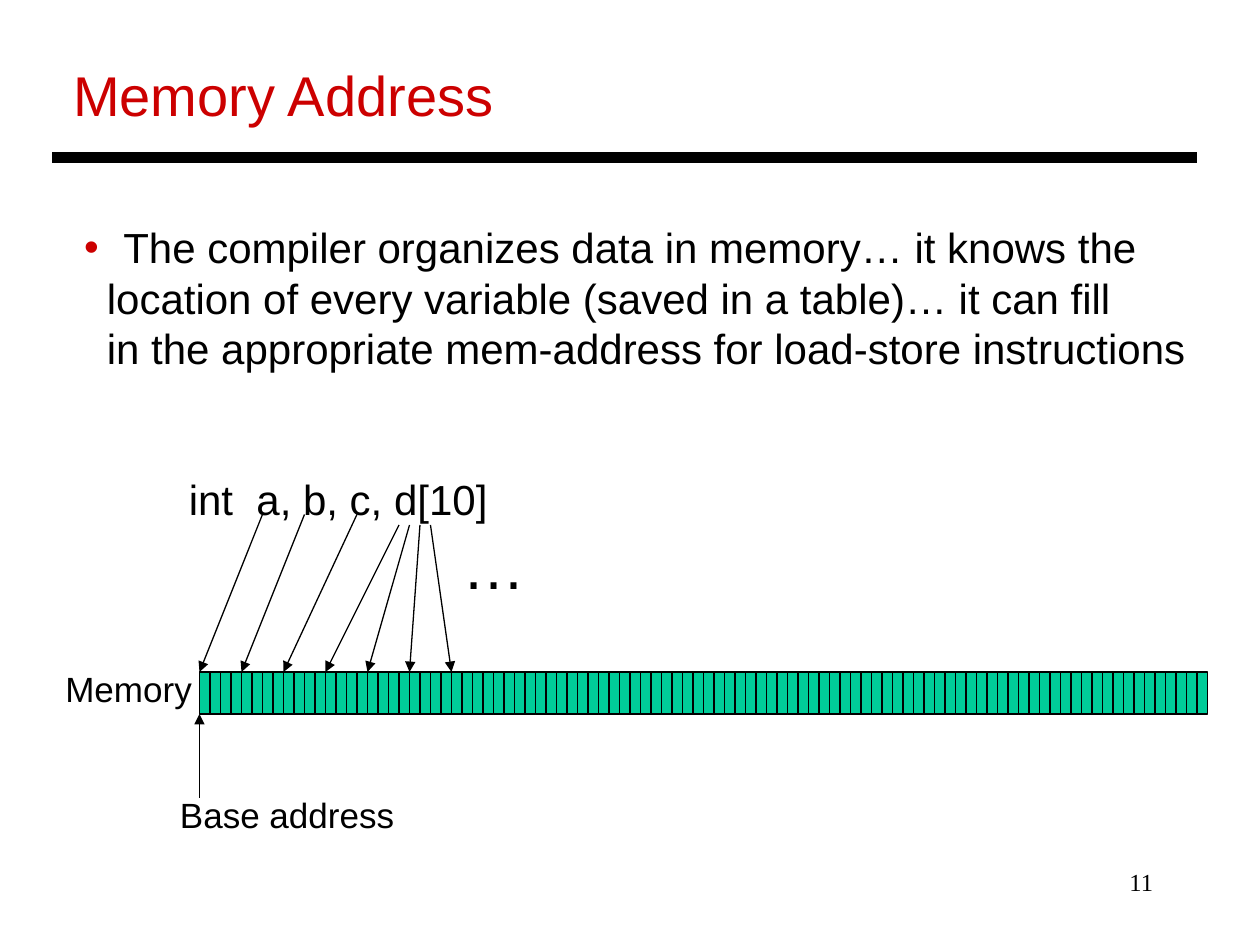
"""Build the Memory Address slide."""
from dataclasses import dataclass

from lxml.etree import SubElement
from pptx import Presentation
from pptx.dml.color import RGBColor
from pptx.enum.shapes import MSO_CONNECTOR, MSO_SHAPE
from pptx.enum.text import MSO_ANCHOR, MSO_AUTO_SIZE, PP_ALIGN
from pptx.oxml.ns import qn
from pptx.util import Inches, Length, Pt

BLACK, RED, GREEN = "000000", "CC0000", "00CC99"
UNITS_PER_INCH = 12
LINE_HEIGHT = 1.2
MEMORY_LEFT, MEMORY_TOP, MEMORY_BOTTOM = 19, 64, 68
BYTE_COUNT, BYTES_PER_INT = 96, 4


@dataclass(frozen=True)
class Line:
    text: str
    margin: float = 0
    bullet: bool = False
    space_before: float = 0


@dataclass(frozen=True)
class Label:
    left: float
    top: float
    width: float
    height: float
    size: int
    lines: tuple[Line, ...]
    color: str = BLACK
    font: str = "Arial"
    alignment: PP_ALIGN = PP_ALIGN.LEFT


@dataclass(frozen=True)
class VariableArrow:
    column: int
    row: int


TITLE = Label(0.48, 0.43, 3.56, 0.63, 32, (Line("Memory Address"),), RED)
LABELS = (
    Label(0.57, 1.71, 8.95, 2.5, 24, (
        Line("The compiler organizes data in memory… it knows the", 0.31, bullet=True),
        Line("location of every variable (saved in a table)… it can fill", 0.18),
        Line("in the appropriate mem-address for load-store instructions", 0.18),
        Line("int  a, b, c, d[10]", 0.83, space_before=2 * 24 * LINE_HEIGHT),
    )),
    Label(0.42, 5.25, 1.2, 0.43, 20, (Line("Memory"),)),
    Label(3.57, 4.13, 0.7, 0.7, 36, (Line("…"),)),
    Label(1.33, 6.25, 1.9, 0.43, 20, (Line("Base address"),)),
    Label(7.17, 6.83, 2.08, 0.5, 14, (Line("11"),),
          font="Times New Roman", alignment=PP_ALIGN.RIGHT),
)
VARIABLE_ARROWS = (
    VariableArrow(25, 49), VariableArrow(29, 49), VariableArrow(34, 49),
    *(VariableArrow(column, 50) for column in range(38, 42)),
)


def color_of(value: str) -> RGBColor:
    return RGBColor.from_string(value)


def grid(units: float) -> Length:
    return Inches(units / UNITS_PER_INCH)


def add_bullet(paragraph, margin: float) -> None:
    properties = paragraph._p.get_or_add_pPr()
    properties.set("indent", str(-Inches(margin)))
    bullet_color = SubElement(properties, qn("a:buClr"))
    SubElement(bullet_color, qn("a:srgbClr"), val=RED)
    SubElement(properties, qn("a:buFont"), typeface="Arial")
    SubElement(properties, qn("a:buChar"), char="•")


def write_label(shape, label: Label) -> None:
    shape.left, shape.top = Inches(label.left), Inches(label.top)
    shape.width, shape.height = Inches(label.width), Inches(label.height)
    frame = shape.text_frame
    frame.word_wrap = False
    frame.auto_size = MSO_AUTO_SIZE.NONE
    frame.vertical_anchor = MSO_ANCHOR.TOP
    frame.text = "\n".join(line.text for line in label.lines)
    for paragraph, line in zip(frame.paragraphs, label.lines):
        paragraph.alignment = label.alignment
        paragraph.line_spacing = Pt(label.size * LINE_HEIGHT)
        paragraph.space_before = Pt(line.space_before)
        paragraph.font.name = label.font
        paragraph.font.size = Pt(label.size)
        paragraph.font.color.rgb = color_of(label.color)
        if line.margin:
            paragraph._p.get_or_add_pPr().set("marL", str(Inches(line.margin)))
        if line.bullet:
            add_bullet(paragraph, line.margin)


def add_line(slide, start: tuple[float, float], end: tuple[float, float],
             width: float = 0.75, arrow: bool = True) -> None:
    connector = slide.shapes.add_connector(
        MSO_CONNECTOR.STRAIGHT, *(grid(units) for units in (*start, *end)))
    connector.line.color.rgb = color_of(BLACK)
    connector.line.width = Pt(width)
    if arrow:
        SubElement(connector.line._get_or_add_ln(), qn("a:tailEnd"), type="triangle")
    SubElement(connector._element.spPr, qn("a:effectLst"))


def add_byte(slide, index: int) -> None:
    byte = slide.shapes.add_shape(
        MSO_SHAPE.RECTANGLE, grid(MEMORY_LEFT + index), grid(MEMORY_TOP),
        grid(1), grid(MEMORY_BOTTOM - MEMORY_TOP))
    byte.shadow.inherit = False
    byte.fill.solid()
    byte.fill.fore_color.rgb = color_of(GREEN)
    byte.line.color.rgb = color_of(BLACK)
    byte.line.width = Pt(0.75)


def build() -> None:
    presentation = Presentation()
    presentation.slide_width, presentation.slide_height = Inches(10), Inches(7.5)
    slide = presentation.slides.add_slide(presentation.slide_layouts.get_by_name("Title Only"))
    write_label(slide.shapes.title, TITLE)
    add_line(slide, (5, 15), (114, 15), width=6, arrow=False)
    for index in range(BYTE_COUNT):
        add_byte(slide, index)
    for label in LABELS:
        write_label(slide.shapes.add_textbox(0, 0, 0, 0), label)
    for index, arrow in enumerate(VARIABLE_ARROWS):
        add_line(slide, (arrow.column, arrow.row),
                 (MEMORY_LEFT + index * BYTES_PER_INT, MEMORY_TOP))
    add_line(slide, (MEMORY_LEFT, 76), (MEMORY_LEFT, MEMORY_BOTTOM))
    presentation.save("out.pptx")


build()
